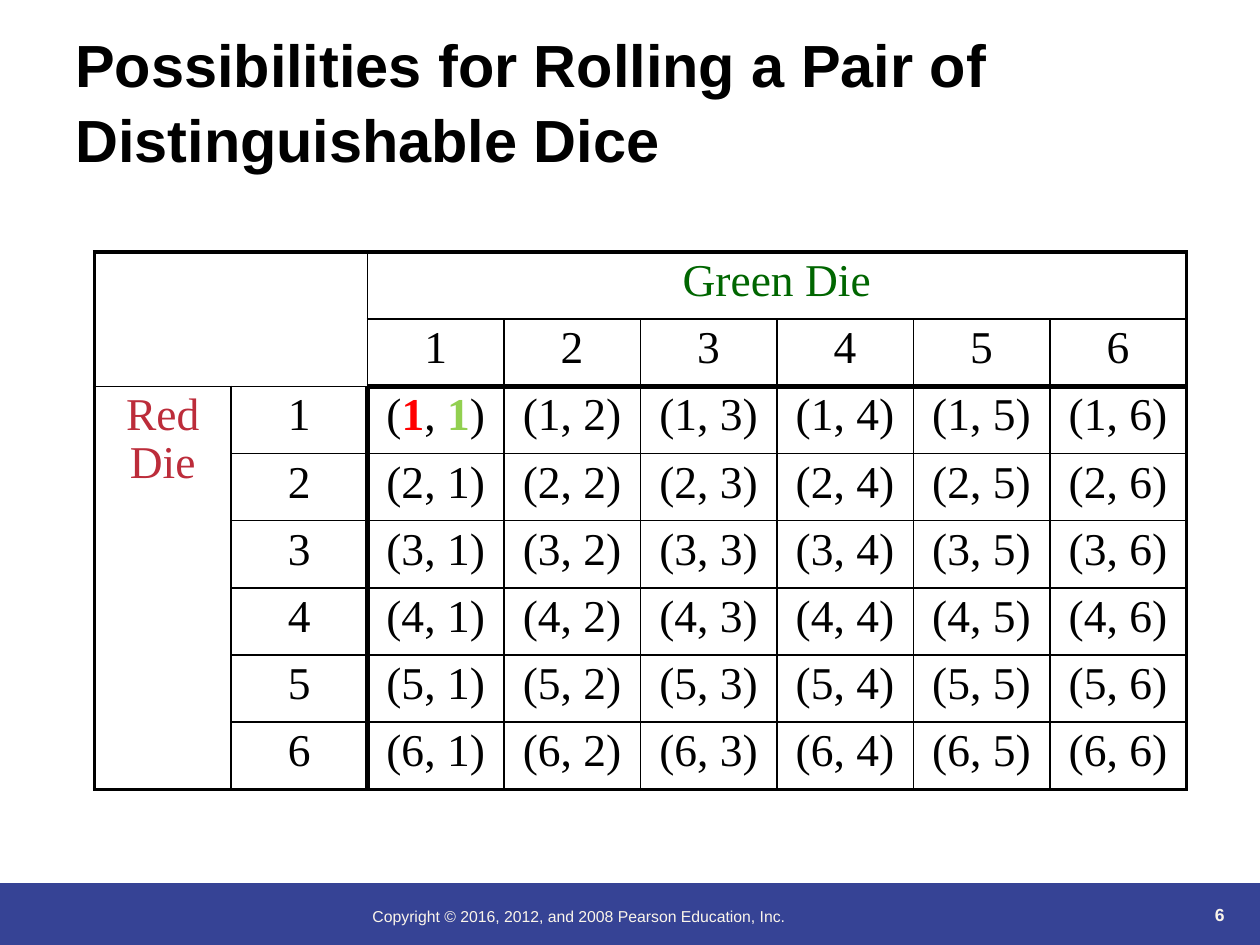
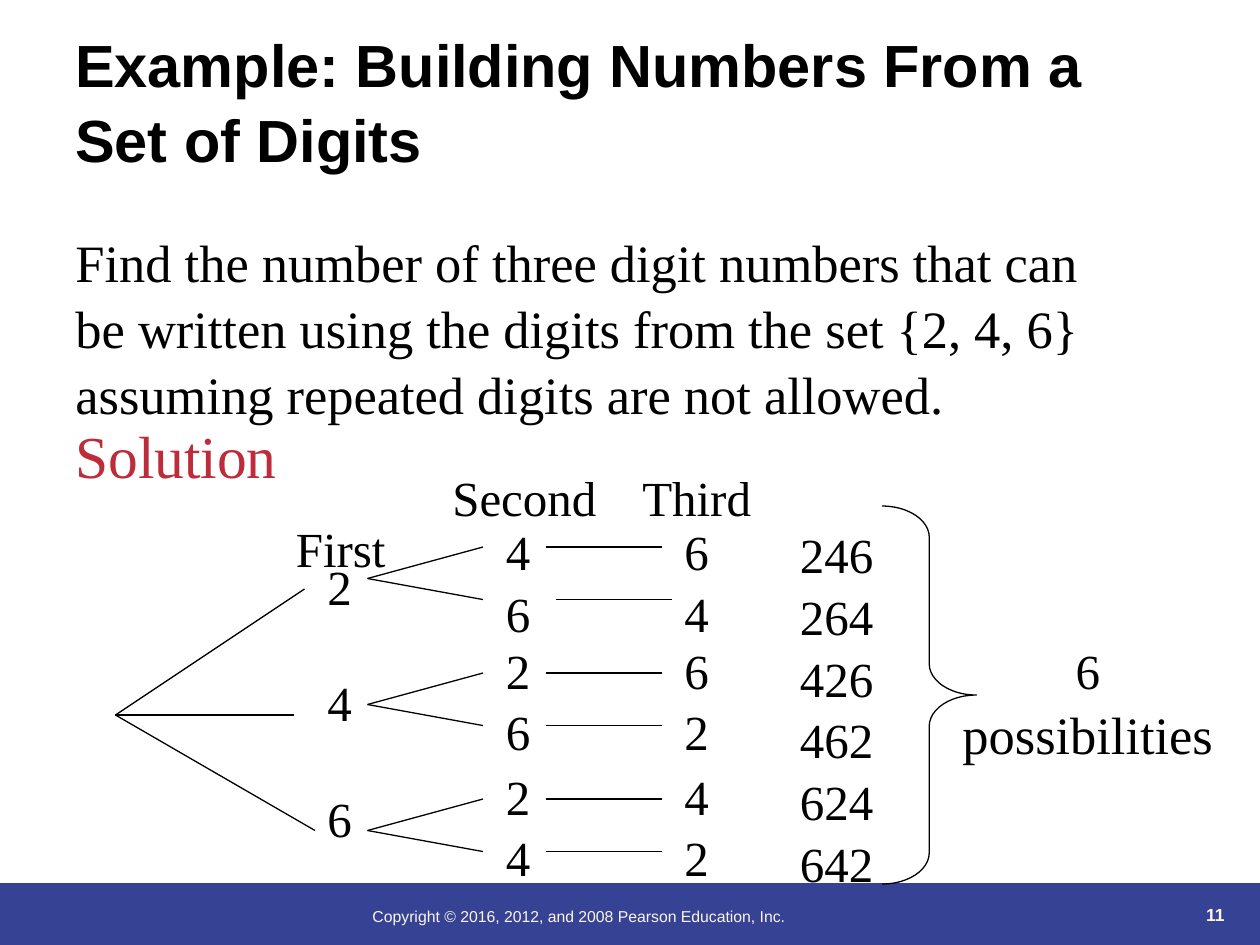
from collections import namedtuple

from lxml import etree
from pptx import Presentation
from pptx.dml.color import RGBColor
from pptx.enum.shapes import MSO_CONNECTOR, MSO_SHAPE
from pptx.enum.text import MSO_ANCHOR, PP_ALIGN
from pptx.oxml.ns import qn
from pptx.util import Inches, Pt

LEFT, CENTER, RIGHT = PP_ALIGN.LEFT, PP_ALIGN.CENTER, PP_ALIGN.RIGHT
TOP, BOTTOM = MSO_ANCHOR.TOP, MSO_ANCHOR.BOTTOM
STRAIGHT = MSO_CONNECTOR.STRAIGHT
RECTANGLE, RIGHT_BRACE = MSO_SHAPE.RECTANGLE, MSO_SHAPE.RIGHT_BRACE

COLORS = {
    "ink": "000000",
    "band": "364395",
    "footer": "FBF5EA",
    "crimson": "BC2C3A",
    "green": "006600",
    "red": "FF0000",
    "lime": "92D050",
}
SANS, SERIF = "Arial", "Times New Roman"
TITLE = {"name": SANS, "size": 34, "bold": True, "color": "ink"}
COPYRIGHT = {"name": SANS, "size": 9, "color": "footer"}
NUMBER = {"name": SANS, "size": 10, "bold": True, "color": "footer"}
BODY = {"name": SERIF, "size": 30, "color": "ink"}
SOLUTION = {"name": SERIF, "size": 34, "color": "crimson"}
DIGIT = {"name": SERIF, "size": 28, "color": "ink"}
CELL = {"name": SERIF, "size": 26, "color": "ink"}

GRID_COLUMNS, GRID_ROWS = 120, 90
SLIDE_WIDTH, SLIDE_HEIGHT = Inches(10), Inches(7.5)
LINE_SPACING = 1.05
CELL_SPACING = 0.95
TREE_LINE = Pt(0.75)
THIN, OUTER, HEAVY = 1, 2.25, 3

Box = namedtuple("Box", "column row columns rows")


def across(columns):
    return round(SLIDE_WIDTH * columns / GRID_COLUMNS)


def down(rows):
    return round(SLIDE_HEIGHT * rows / GRID_ROWS)


def place(box):
    return across(box.column), down(box.row), across(box.columns), down(box.rows)


def inside(box, column, row, columns, rows):
    return Box(box.column + column, box.row + row, columns, rows)


def rgb(color):
    return RGBColor.from_string(COLORS[color])


def write_runs(paragraph, runs):
    for text, style in runs:
        run = paragraph.add_run()
        run.text = text
        for key, value in style.items():
            if key == "color":
                run.font.color.rgb = rgb(value)
            else:
                setattr(run.font, key, Pt(value) if key == "size" else value)


def add_text(slide, box, paragraphs, align=LEFT, anchor=TOP, gap=0):
    shape = slide.shapes.add_textbox(*place(box))
    frame = shape.text_frame
    frame.word_wrap = True
    frame.vertical_anchor = anchor
    for index, runs in enumerate(paragraphs):
        paragraph = frame.add_paragraph() if index else frame.paragraphs[0]
        formats = {"alignment": align, "line_spacing": LINE_SPACING}
        if index and gap:
            formats["space_before"] = Pt(gap)
        for key, value in formats.items():
            setattr(paragraph, key, value)
        write_runs(paragraph, runs)


def add_line(slide, box, start, end):
    connector = slide.shapes.add_connector(
        STRAIGHT,
        across(box.column + start[0]), down(box.row + start[1]),
        across(box.column + end[0]), down(box.row + end[1]))
    connector.line.color.rgb = rgb("ink")
    connector.line.width = TREE_LINE
    etree.SubElement(connector._element.spPr, qn("a:effectLst"))


def add_frame(slide, title, number):
    band = Box(0, 84.1, GRID_COLUMNS, 5.9)
    shape = slide.shapes.add_shape(RECTANGLE, *place(band))
    shape.shadow.inherit = False
    shape.fill.solid()
    shape.fill.fore_color.rgb = rgb("band")
    shape.line.fill.background()
    add_text(slide, inside(band, 34.3, 1.6, 59, 6),
             [[("Copyright © 2016, 2012, and 2008 Pearson Education, Inc.", COPYRIGHT)]])
    add_text(slide, inside(band, 106.8, -1.4, 11, 6), [[(str(number), NUMBER)]],
             RIGHT, BOTTOM)
    add_text(slide, Box(6, 2.2, 108, 15), [[(title, TITLE)]], anchor=BOTTOM)


def edge_width(boundary, position, count):
    if boundary in (0, count):
        return OUTER
    return HEAVY if boundary == 2 and position >= 2 else THIN


def set_borders(cell, widths):
    properties = cell._tc.get_or_add_tcPr()
    for side, width in widths.items():
        line = etree.SubElement(properties, qn(f"a:ln{side}"), w=str(Pt(width)))
        fill = etree.SubElement(line, qn("a:solidFill"))
        etree.SubElement(fill, qn("a:srgbClr"), val=COLORS["ink"])


def dice_runs(row, column):
    if (row, column) == (0, 2):
        return [("Green Die", {**CELL, "color": "green"})]
    if (row, column) == (2, 0):
        return [("Red Die", {**CELL, "color": "crimson"})]
    if (row, column) == (2, 2):
        bold = {**CELL, "bold": True}
        return [("(", CELL), ("1", {**bold, "color": "red"}), (", ", CELL),
                ("1", {**bold, "color": "lime"}), (")", CELL)]
    if row == 1 and column > 1:
        return [(str(column - 1), CELL)]
    if row > 1 and column == 1:
        return [(str(row - 1), CELL)]
    if row > 1:
        return [(f"({row - 1}, {column - 1})", CELL)]
    return []


def add_dice_table(slide, box, count=8):
    table = slide.shapes.add_table(count, count, *place(box)).table
    table.first_row = table.horz_banding = False
    for index in range(count):
        table.columns[index].width = across(box.columns / count)
        table.rows[index].height = down(box.rows / count)
    for first, last in (((0, 0), (1, 1)), ((0, 2), (0, 7)), ((2, 0), (7, 0))):
        table.cell(*first).merge(table.cell(*last))
    for row in range(count):
        for column in range(count):
            cell = table.cell(row, column)
            if cell.is_spanned:
                continue
            right = column + (cell.span_width if cell.is_merge_origin else 1)
            bottom = row + (cell.span_height if cell.is_merge_origin else 1)
            set_borders(cell, {
                "L": edge_width(column, row, count),
                "R": edge_width(right, row, count),
                "T": edge_width(row, column, count),
                "B": edge_width(bottom, column, count),
            })
            cell.fill.background()
            paragraph = cell.text_frame.paragraphs[0]
            paragraph.alignment = CENTER
            paragraph.line_spacing = CELL_SPACING
            write_runs(paragraph, dice_runs(row, column))


def add_problem(slide, box):
    add_text(slide, inside(box, 0, 0, box.columns, 19.2), [[(
        "Find the number of three digit numbers that can be written using the digits "
        "from the set {2, 4, 6} assuming repeated digits are not allowed.", BODY)]])
    add_text(slide, inside(box, 0, 18, 34, 8), [[("Solution", SOLUTION)]])


def add_digit_tree(slide, box):
    digits = "246"
    branches = [(first, [digit for digit in digits if digit != first]) for first in digits]
    root = (0, 24.4)
    for end in ((18, 12.4), (17, 24.4), (19, 35.4)):
        add_line(slide, box, root, end)
    add_text(slide, inside(box, 19, 8.4, 23, 29.6),
             [[(digit, DIGIT)] for digit in digits], gap=31)
    for index, (first, rest) in enumerate(branches):
        shift = 12 * index
        text_row = 16.4 + 12 * (index - 1) + (0.7 if index == 0 else 0)
        for column, column_digits in ((36, rest), (53, rest[::-1])):
            add_text(slide, inside(box, column, text_row, 17, 12.4),
                     [[(digit, DIGIT)] for digit in column_digits])
        for leaf, row in enumerate((8.4, 13.4)):
            start = 42 if (index, leaf) == (0, 1) else 41
            add_line(slide, box, (24, 11.4 + shift), (35, row + shift))
            add_line(slide, box, (start, row + shift), (start + 11, row + shift))
    numbers = [first + second + third
               for first, rest in branches
               for second, third in (rest, rest[::-1])]
    add_text(slide, inside(box, 64, 5.4, 17, 34.8), [[(number, DIGIT)] for number in numbers])
    for label, column, row in (("First", 16, 4.8), ("Second", 30.9, 0), ("Third", 49, 0)):
        add_text(slide, inside(box, column, row, 18, 6.8), [[(label, DIGIT)]])
    brace = slide.shapes.add_shape(RIGHT_BRACE, *place(inside(box, 73, 4.5, 9, 36)))
    brace.shadow.inherit = False
    brace.adjustments[0], brace.adjustments[1] = 0.33, 0.5
    brace.fill.background()
    brace.line.color.rgb = rgb("ink")
    brace.line.width = TREE_LINE
    add_text(slide, inside(box, 79, 16.4, 27.2, 12.8),
             [[("6 ", DIGIT), ("possibilities", BODY)]], CENTER)


def main():
    presentation = Presentation()
    presentation.slide_width, presentation.slide_height = SLIDE_WIDTH, SLIDE_HEIGHT
    blank = presentation.slide_layouts[6]

    slide = presentation.slides.add_slide(blank)
    add_frame(slide, "Possibilities for Rolling a Pair of Distinguishable Dice", 6)
    add_dice_table(slide, Box(9, 24, 104, 51.2))

    slide = presentation.slides.add_slide(blank)
    add_frame(slide, "Example: Building Numbers From a Set of Digits", 11)
    add_problem(slide, Box(6, 21, 99, 26))
    add_digit_tree(slide, Box(11, 43.7, 106.2, 40.5))

    presentation.save("out.pptx")


if __name__ == "__main__":
    main()
